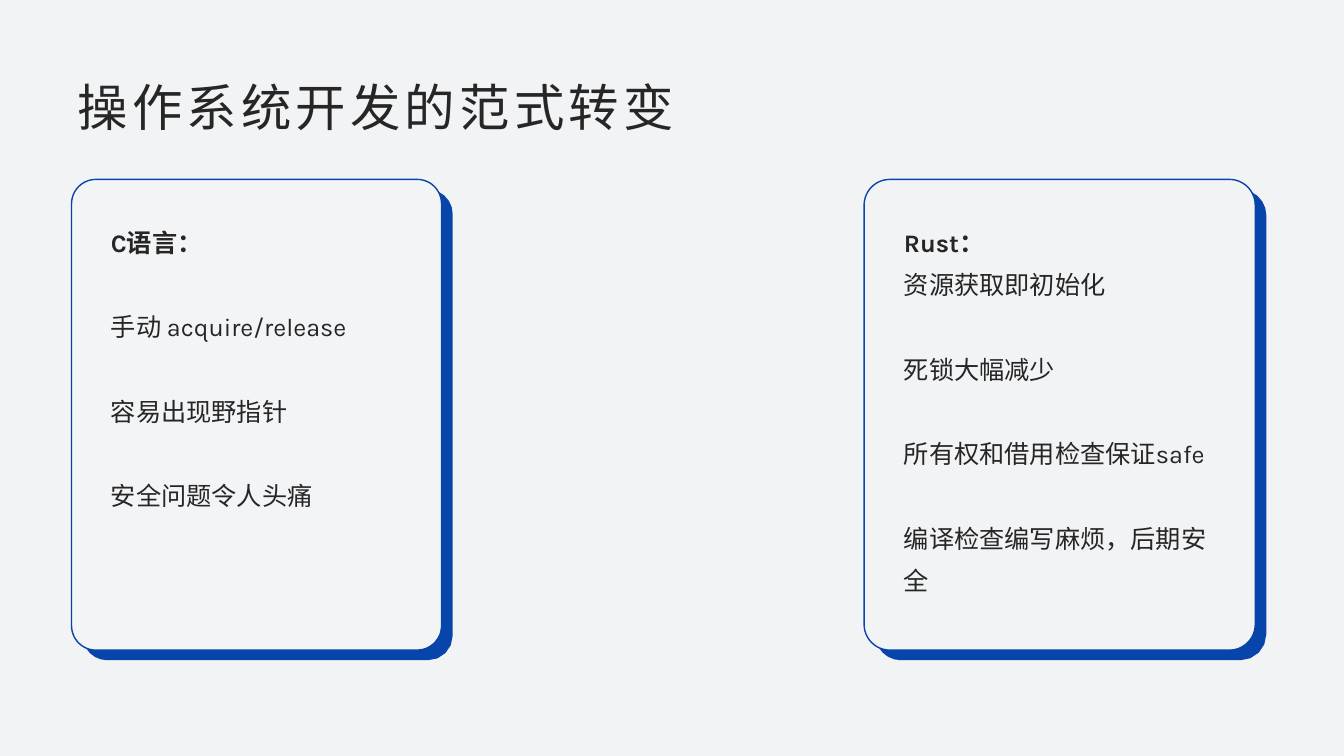
from math import cos, radians, sin

from pptx import Presentation
from pptx.dml.color import RGBColor
from pptx.enum.shapes import MSO_SHAPE
from pptx.enum.text import MSO_ANCHOR, PP_ALIGN
from pptx.oxml import parse_xml
from pptx.oxml.ns import nsdecls
from pptx.util import Inches, Pt

ROUNDED = MSO_SHAPE.ROUNDED_RECTANGLE
LEFT, TOP, MIDDLE = PP_ALIGN.LEFT, MSO_ANCHOR.TOP, MSO_ANCHOR.MIDDLE

# Content: each card has its lines as (text, bold, gap before in points)
BLANK_LINE = 30.2
TITLE = "操作系统开发的范式转变"
CARDS = [
    {"left": 0.71, "width": 3.67, "fill": "FFFFFF", "opacity": 10, "lines": [
        ("C语言：", True, 0),
        ("手动 acquire/release", False, BLANK_LINE),
        ("容易出现野指针", False, BLANK_LINE),
        ("安全问题令人头痛", False, BLANK_LINE)]},
    {"left": 8.57, "width": 3.88, "fill": "F2F3F5", "opacity": 100, "lines": [
        ("Rust：", True, 0),
        ("资源获取即初始化", False, 0),
        ("死锁大幅减少", False, BLANK_LINE),
        ("所有权和借用检查保证safe", False, BLANK_LINE),
        ("编译检查编写麻烦，后期安全", False, BLANK_LINE)]},
]

# Layout and style
SLIDE_WIDTH, SLIDE_HEIGHT = 13.33, 7.5
CARD_TOP, CARD_HEIGHT, CORNER = 1.78, 4.67, 0.066
SHADOW_X, SHADOW_Y = 0.11, 0.10
ARC_STEPS = 4
BACKGROUND, BLUE, INK = "F2F3F5", "0745AA", "262626"
TITLE_FONT = {"name": "Roboto", "size": Pt(36), "bold": False}
BODY_FONT = {"name": "Karla", "size": Pt(18)}
CARD_FRAME = {"margin_left": Inches(0.32), "margin_top": Inches(0.28),
              "margin_right": Inches(0.32), "margin_bottom": Inches(0.76),
              "word_wrap": True, "vertical_anchor": TOP}


def paint(color_format, color):
    color_format.rgb = RGBColor.from_string(color)


def fill_shape(shape, color):
    shape.shadow.inherit = False
    shape.fill.solid()
    paint(shape.fill.fore_color, color)


def set_values(target, values):
    for name, value in values.items():
        setattr(target, name, value)


def arc(x, y, radius, start, end):
    """Points along a circle, in EMU; the angles are in degrees."""
    angles = [radians(start + (end - start) * step / ARC_STEPS)
              for step in range(ARC_STEPS + 1)]
    return [(Inches(x + radius * cos(angle)), Inches(y + radius * sin(angle)))
            for angle in angles]


def add_card_shadow(slide, left, width):
    """The part of a shifted rounded card that shows beside the card."""
    radius = CORNER * width
    west, east = left + radius, left + width - radius
    north, south = CARD_TOP + radius, CARD_TOP + CARD_HEIGHT - radius
    outer = [(east, north, -65, 0), (east, south, 0, 90), (west, south, 90, 150)]
    inner = [(west, south, 115, 90), (east, south, 90, 0), (east, north, 0, -28)]
    points = []
    for x, y, start, end in outer:
        points += arc(x + SHADOW_X, y + SHADOW_Y, radius, start, end)
    for x, y, start, end in inner:
        points += arc(x, y, radius, start, end)
    builder = slide.shapes.build_freeform(*points[0])
    builder.add_line_segments(points[1:], close=True)
    shadow = builder.convert_to_shape()
    fill_shape(shadow, BLUE)
    shadow.line.fill.background()


def add_card(slide, card):
    shape = slide.shapes.add_shape(
        ROUNDED, Inches(card["left"]), Inches(CARD_TOP),
        Inches(card["width"]), Inches(CARD_HEIGHT))
    shape.adjustments[0] = CORNER
    fill_shape(shape, card["fill"])
    if card["opacity"] < 100:
        color = shape.fill._xPr.find(".//{*}srgbClr")
        color.append(parse_xml(f'<a:alpha {nsdecls("a")} val="{card["opacity"] * 1000}"/>'))
    paint(shape.line.color, BLUE)
    shape.line.width = Pt(1)

    frame = shape.text_frame
    set_values(frame, CARD_FRAME)
    for index, (text, bold, gap) in enumerate(card["lines"]):
        paragraph = frame.add_paragraph() if index else frame.paragraphs[0]
        set_values(paragraph, {"alignment": LEFT, "line_spacing": 1.4,
                               "space_before": Pt(gap)})
        run = paragraph.add_run()
        run.text = text
        set_values(run.font, {**BODY_FONT, "bold": bold})
        paint(run.font.color, INK)


# Slide and background
presentation = Presentation()
presentation.slide_width = Inches(SLIDE_WIDTH)
presentation.slide_height = Inches(SLIDE_HEIGHT)
slide = presentation.slides.add_slide(presentation.slide_layouts[5])
slide.background.fill.solid()
paint(slide.background.fill.fore_color, BACKGROUND)

# Title
title = slide.shapes.title
set_values(title, {"left": Inches(0.67), "top": Inches(0.67),
                   "width": Inches(12), "height": Inches(0.77)})
title.text_frame.vertical_anchor = MIDDLE
paragraph = title.text_frame.paragraphs[0]
paragraph.alignment = LEFT
run = paragraph.add_run()
run.text = TITLE
set_values(run.font, TITLE_FONT)
paint(run.font.color, INK)
run.font._element.set("spc", "300")

# Cards
for card in CARDS:
    add_card_shadow(slide, card["left"], card["width"])
    add_card(slide, card)

presentation.save("out.pptx")
